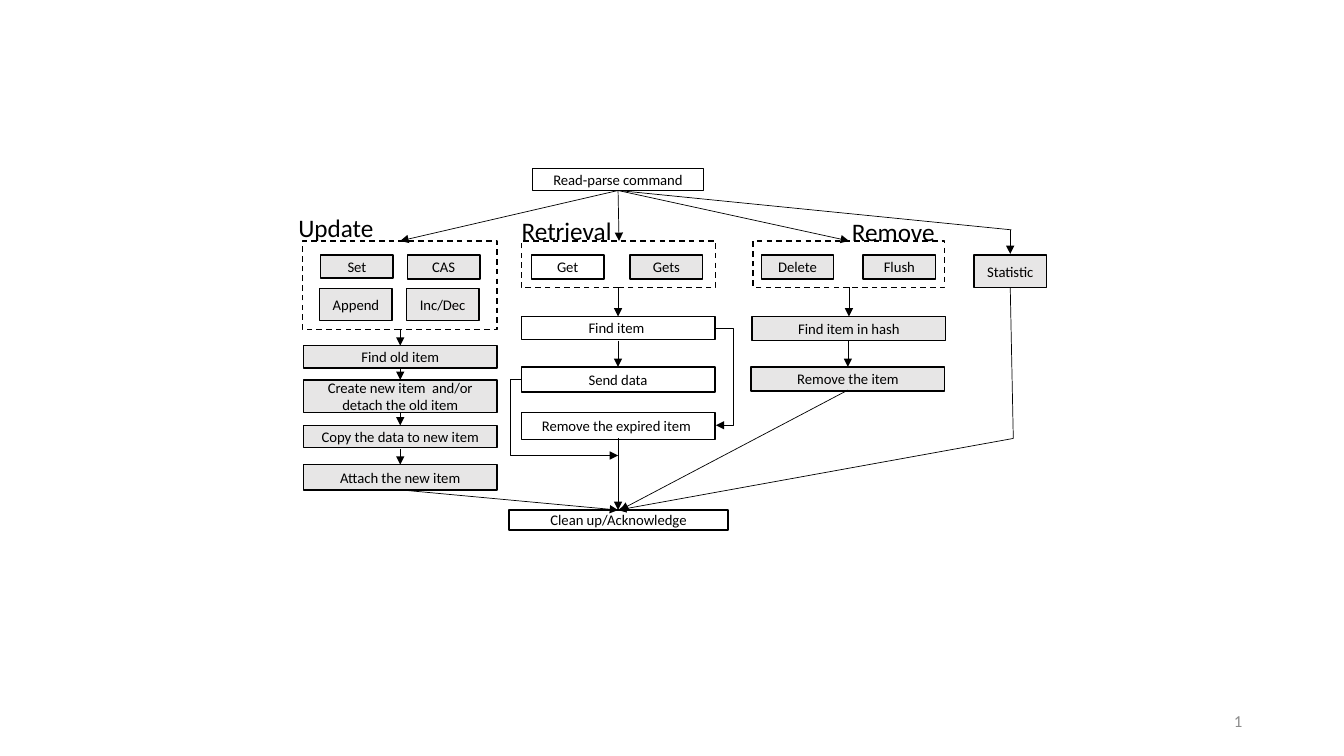
"""Build a flowchart slide of cache command processing."""
import dataclasses
import typing

import lxml.etree
import pptx
import pptx.dml.color
import pptx.enum.dml
import pptx.enum.shapes
import pptx.enum.text
import pptx.oxml.ns
import pptx.util

Inches = pptx.util.Inches
RGBColor = pptx.dml.color.RGBColor
Align = pptx.enum.text.PP_ALIGN
Point = tuple[float, float]

BLACK = RGBColor(0x00, 0x00, 0x00)
WHITE = RGBColor(0xFF, 0xFF, 0xFF)
GRAY = RGBColor(0xE7, 0xE6, 0xE6)
NUMBER_GRAY = RGBColor(0x8C, 0x8C, 0x8C)

FONT = "Calibri"
STEP_WIDTH = 1.92
COMMAND_WIDTH = 0.72
UPDATE_X, RETRIEVAL_X, REMOVE_X = 3.97, 6.13, 8.41
SPLIT = (RETRIEVAL_X, 1.89)
FINISH = (RETRIEVAL_X, 5.06)


@dataclasses.dataclass(frozen=True)
class Box:
    """A rectangle of the flowchart."""
    text: str
    left: float
    top: float
    width: float
    height: float
    fill: typing.Optional[RGBColor] = GRAY
    line: bool = True
    dashed: bool = False
    size: float = 10.5


@dataclasses.dataclass(frozen=True)
class Arrow:
    """A straight or bent line of the flowchart."""
    start: Point
    end: Point
    head: bool = True
    bend_x: typing.Optional[float] = None


def label(text: str, left: float, top: float, width: float, height: float) -> Box:
    """Return a borderless group title."""
    return Box(text, left, top, width, height, WHITE, line=False, size=18)


def frame(left: float, width: float, height: float) -> Box:
    """Return a dashed frame around a group of commands."""
    return Box("", left, 2.39, width, height, None, dashed=True)


def command(text: str, left: float, top: float = 2.53, height: float = 0.24,
            fill: RGBColor = GRAY) -> Box:
    """Return a small command box."""
    return Box(text, left, top, COMMAND_WIDTH, height, fill)


def step(text: str, left: float, top: float, height: float,
         fill: RGBColor = GRAY) -> Box:
    """Return a processing step box."""
    return Box(text, left, top, STEP_WIDTH, height, fill)


def down(center: float, *spans: Point) -> list[Arrow]:
    """Return vertical arrows along one column."""
    return [Arrow((center, top), (center, bottom)) for top, bottom in spans]


BOXES = [
    label("Update ", 2.66, 2.01, 1.4, 0.5),
    label("Retrieval", 4.89, 2.18, 1.46, 0.22),
    label("Remove", 8.19, 2.15, 1.34, 0.3),
    frame(3, 1.93, 0.88),
    frame(5.17, 1.93, 0.46),
    frame(7.47, 1.9, 0.46),
    Box("Read-parse command", 5.28, 1.67, 1.7, 0.22, WHITE),
    command("Set", 3.18, height=0.23),
    command("CAS", 4.04),
    command("Append", 3.17, 2.86, 0.32),
    command("Inc/Dec", 4.03, 2.86, 0.32),
    command("Get", 5.27, fill=WHITE),
    command("Gets", 6.25),
    command("Delete", 7.55),
    command("Flush", 8.56),
    command("Statistic", 9.66, height=0.32),
    step("Find old item", 3.01, 3.43, 0.22),
    step("Create new item  and/or detach the old item", 3.01, 3.77, 0.32),
    step("Copy the data to new item", 3.01, 4.22, 0.22),
    step("Attach the new item", 3.01, 4.61, 0.25),
    step("Find item ", 5.17, 3.14, 0.23, WHITE),
    step("Send data", 5.17, 3.64, 0.25, WHITE),
    step("Remove the expired item ", 5.17, 4.09, 0.27, WHITE),
    step("Find item in hash", 7.46, 3.14, 0.24),
    step("Remove the item", 7.45, 3.64, 0.24),
    Box("Clean up/Acknowledge", 5.05, 5.06, 2.17, 0.2, WHITE),
]

ARROWS = [
    Arrow(SPLIT, (UPDATE_X, 2.39)),
    Arrow(SPLIT, (6.14, 2.39)),
    Arrow(SPLIT, (8.42, 2.39)),
    Arrow(SPLIT, (10.03, 2.28), head=False),
    *down(10.02, (2.28, 2.52)),
    *down(UPDATE_X, (3.27, 3.43), (3.65, 3.77), (4.09, 4.22), (4.45, 4.61)),
    *down(RETRIEVAL_X, (2.85, 3.14), (3.38, 3.64), (4.35, 5.06)),
    *down(8.42, (2.85, 3.14)),
    *down(REMOVE_X, (3.38, 3.64)),
    Arrow((UPDATE_X, 4.86), FINISH),
    Arrow((REMOVE_X, 3.87), (6.15, 5.06)),
    Arrow((10.02, 2.85), (10.05, 4.35), head=False),
    Arrow((10.05, 4.35), FINISH),
    Arrow((5.17, 3.76), (RETRIEVAL_X, 4.52), bend_x=5.06),
    Arrow((7.09, 3.26), (7.1, 4.22), bend_x=7.28),
]


def write(shape: typing.Any, text: str, *, size: float, color: RGBColor = BLACK,
          align: Align = Align.CENTER) -> None:
    """Write one formatted paragraph into a shape."""
    body = shape.text_frame
    body.word_wrap = True
    body.vertical_anchor = pptx.enum.text.MSO_ANCHOR.MIDDLE
    para = body.paragraphs[0]
    para.alignment = align
    span = para.add_run()
    span.text = text
    span.font.name = FONT
    span.font.size = pptx.util.Pt(size)
    span.font.color.rgb = color


def draw_box(slide: typing.Any, box: Box) -> None:
    """Draw one rectangle with its text."""
    shape = slide.shapes.add_shape(
        pptx.enum.shapes.MSO_SHAPE.RECTANGLE, Inches(box.left), Inches(box.top),
        Inches(box.width), Inches(box.height))
    shape.shadow.inherit = False
    if box.fill is None:
        shape.fill.background()
    else:
        shape.fill.solid()
        shape.fill.fore_color.rgb = box.fill
    if box.line:
        shape.line.color.rgb = BLACK
        shape.line.width = pptx.util.Pt(1)
    else:
        shape.line.fill.background()
    if box.dashed:
        shape.line.dash_style = pptx.enum.dml.MSO_LINE.DASH
    if box.text:
        write(shape, box.text, size=box.size)


def draw_arrow(slide: typing.Any, arrow: Arrow) -> None:
    """Draw one connector."""
    kinds = pptx.enum.shapes.MSO_CONNECTOR
    kind = kinds.STRAIGHT if arrow.bend_x is None else kinds.ELBOW
    connector = slide.shapes.add_connector(
        kind, *(Inches(value) for value in arrow.start + arrow.end))
    connector.line.color.rgb = BLACK
    connector.line.width = pptx.util.Pt(0.5)
    qn = pptx.oxml.ns.qn
    properties = connector.element.spPr
    if arrow.head:
        lxml.etree.SubElement(properties.find(qn("a:ln")), qn("a:tailEnd"), type="triangle")
    if arrow.bend_x is not None:
        ratio = (arrow.bend_x - arrow.start[0]) / (arrow.end[0] - arrow.start[0])
        guides = properties.find(qn("a:prstGeom")).get_or_add_avLst()
        lxml.etree.SubElement(guides, qn("a:gd"), name="adj1",
                              fmla=f"val {round(ratio * 100000)}")
    lxml.etree.SubElement(properties, qn("a:effectLst"))


def main() -> None:
    """Build and save the deck."""
    deck = pptx.Presentation()
    deck.slide_width, deck.slide_height = Inches(13.33), Inches(7.5)
    slide = deck.slides.add_slide(deck.slide_layouts[6])
    for box in BOXES:
        draw_box(slide, box)
    for arrow in ARROWS:
        draw_arrow(slide, arrow)
    number = slide.shapes.add_textbox(Inches(9.42), Inches(6.95), Inches(3), Inches(0.4))
    write(number, "1", size=12, color=NUMBER_GRAY, align=Align.RIGHT)
    deck.save("out.pptx")


if __name__ == "__main__":
    main()
